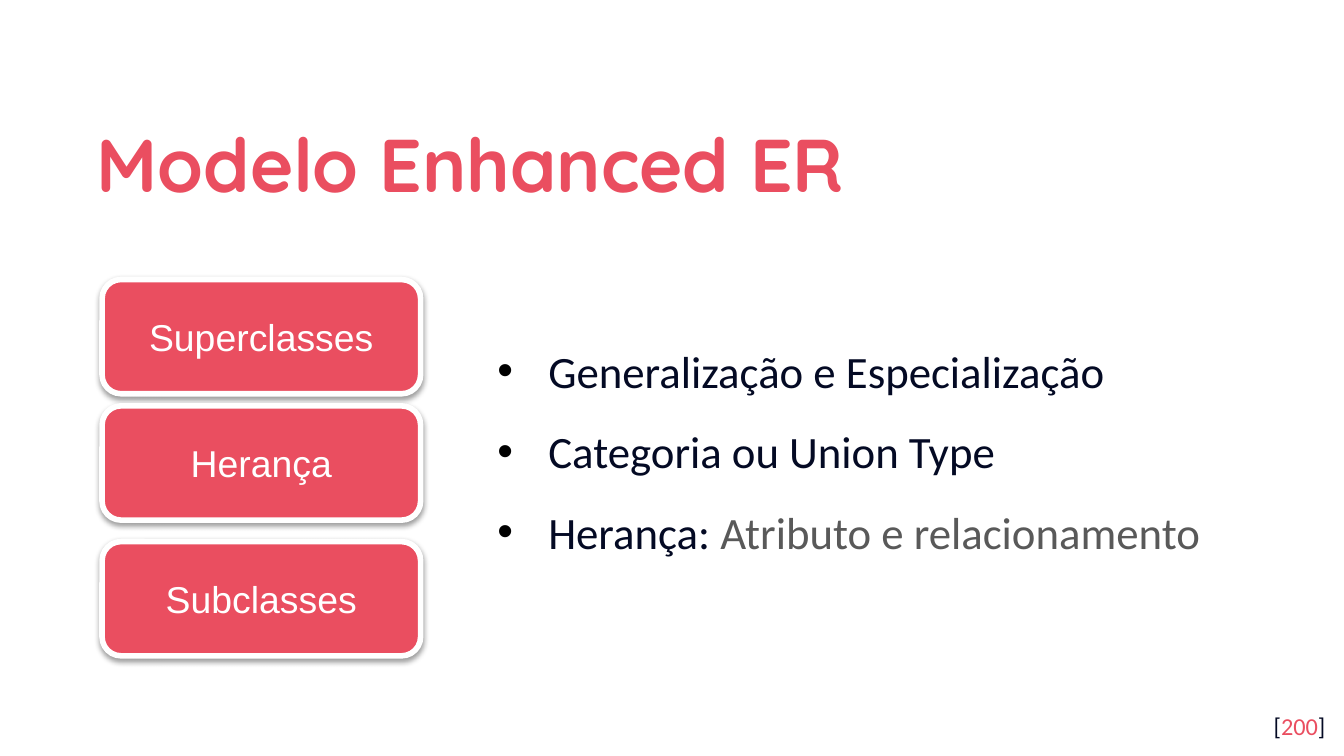
from lxml import etree
from pptx import Presentation
from pptx.dml.color import RGBColor
from pptx.enum.shapes import MSO_SHAPE
from pptx.enum.text import MSO_ANCHOR, MSO_AUTO_SIZE, PP_ALIGN
from pptx.oxml import parse_xml
from pptx.oxml.ns import nsdecls, qn
from pptx.util import Inches, Pt

CORAL, NAVY, GRAY, WHITE = "EA4E60", "040A24", "595959", "FFFFFF"


def add_run(paragraph, text, font_name, size, color, bold=False):
    run = paragraph.add_run()
    run.text = text
    run.font.name = font_name
    run.font.size = Pt(size)
    run.font.bold = bold
    run.font.color.rgb = RGBColor.from_string(color)


def set_frame(box, left, top, width, height, anchor):
    """Place a text box or placeholder and give it even margins."""
    box.left, box.top = Inches(left), Inches(top)
    box.width, box.height = Inches(width), Inches(height)
    frame = box.text_frame
    frame.auto_size = MSO_AUTO_SIZE.NONE
    frame.word_wrap = True
    frame.vertical_anchor = anchor
    frame.margin_left = frame.margin_right = Inches(0.1)
    frame.margin_top = frame.margin_bottom = Inches(0.1)
    return frame


presentation = Presentation()
presentation.slide_width = Inches(10)
presentation.slide_height = Inches(10 * 9 / 16)
slide = presentation.slides.add_slide(presentation.slide_layouts[1])

# Title
heading = set_frame(slide.shapes.title, 0.62, 0.7, 8.77, 0.92, MSO_ANCHOR.MIDDLE).paragraphs[0]
heading.alignment = PP_ALIGN.LEFT
heading.line_spacing = 1.15
add_run(heading, "Modelo Enhanced ER", "Quicksand", 40, CORAL, bold=True)

# Page number
page_box = slide.shapes.add_textbox(0, 0, 0, 0)
page_number = set_frame(page_box, 9.36, 5.19, 0.6, 0.43, MSO_ANCHOR.TOP).paragraphs[0]
page_number.alignment = PP_ALIGN.RIGHT
for text, color in [("[", NAVY), ("200", CORAL), ("]", NAVY)]:
    add_run(page_number, text, "Calibri", 13, color)

# Topic list
topics = [
    [("Generalização e Especialização", NAVY)],
    [("Categoria ou Union Type", NAVY)],
    [("Herança: ", NAVY), ("Atributo e relacionamento", GRAY)],
]
topic_frame = set_frame(slide.placeholders[1], 3.6, 1.62, 5.75, 3.41, MSO_ANCHOR.MIDDLE)
for index, topic in enumerate(topics):
    paragraph = topic_frame.add_paragraph() if index else topic_frame.paragraphs[0]
    paragraph.line_spacing = 1.15
    paragraph.space_before = Pt(10 if index else 0)
    properties = paragraph._p.get_or_add_pPr()
    properties.set("marL", str(Inches(0.38)))
    properties.set("indent", str(-Inches(0.38)))
    bullet_color = etree.SubElement(properties, qn("a:buClr"))
    etree.SubElement(bullet_color, qn("a:srgbClr"), val="000000")
    etree.SubElement(properties, qn("a:buFont"), typeface="Arial")
    etree.SubElement(properties, qn("a:buChar"), char="•")
    for text, color in topic:
        add_run(paragraph, text, "Calibri", 24, color)

# Concept boxes
for concept, top in [("Superclasses", 2.08), ("Herança", 3.02), ("Subclasses", 4.03)]:
    card = slide.shapes.add_shape(
        MSO_SHAPE.ROUNDED_RECTANGLE, Inches(0.76), Inches(top), Inches(2.37), Inches(0.85)
    )
    card.fill.solid()
    card.fill.fore_color.rgb = RGBColor.from_string(CORAL)
    card.line.color.rgb = RGBColor.from_string(WHITE)
    card.line.width = Pt(3)
    card._element.spPr.append(parse_xml(
        f'<a:effectLst {nsdecls("a")}>'
        f'<a:outerShdw blurRad="{Pt(3.1)}" dist="{Pt(1.6)}" dir="5400000" rotWithShape="0">'
        '<a:srgbClr val="000000"><a:alpha val="38000"/></a:srgbClr>'
        '</a:outerShdw></a:effectLst>'
    ))
    card.text_frame.vertical_anchor = MSO_ANCHOR.MIDDLE
    label = card.text_frame.paragraphs[0]
    label.alignment = PP_ALIGN.CENTER
    add_run(label, concept, "Arial", 20, WHITE)

presentation.save("out.pptx")
